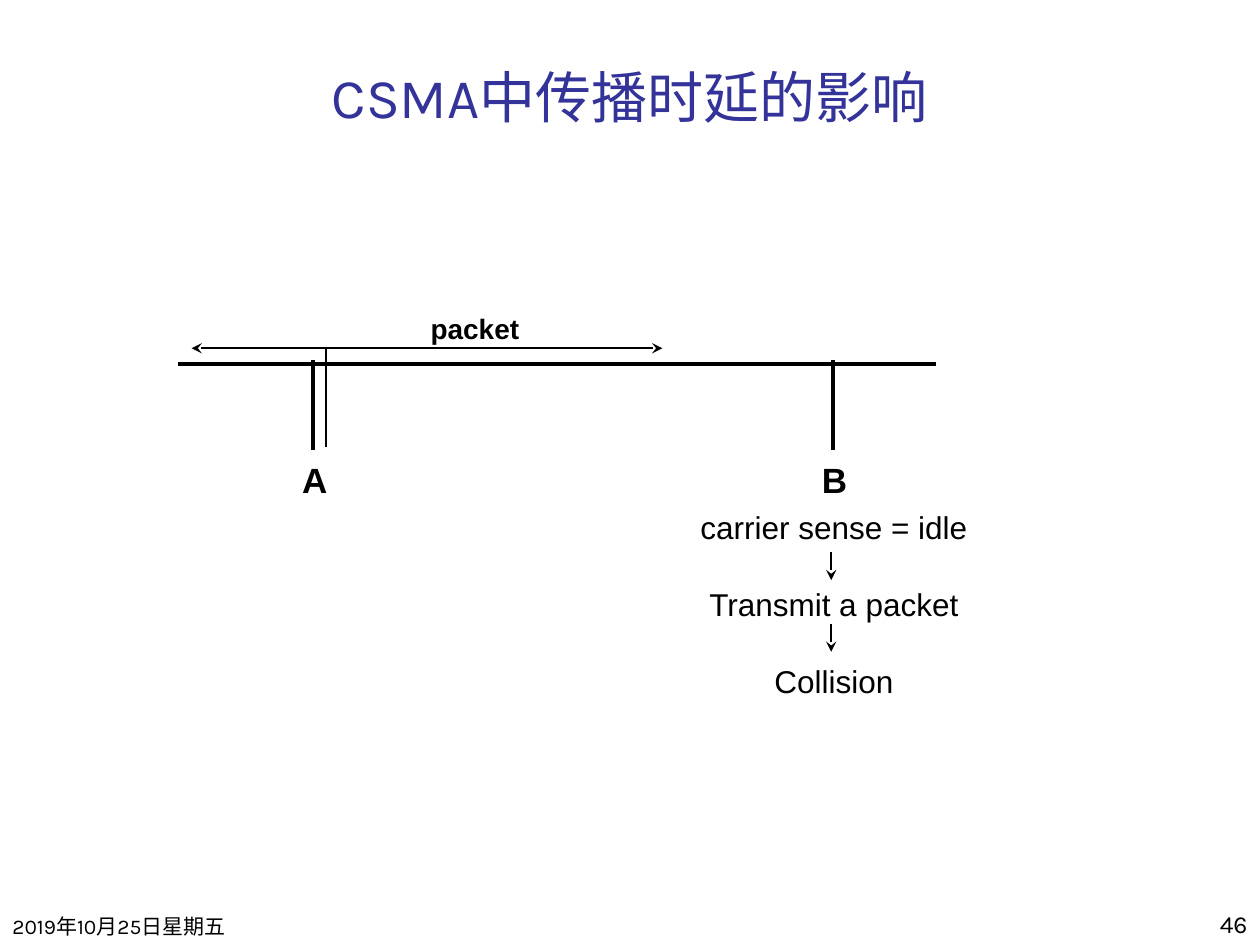
from lxml import etree
from pptx import Presentation
from pptx.dml.color import RGBColor
from pptx.enum.shapes import MSO_CONNECTOR
from pptx.enum.text import MSO_ANCHOR, MSO_AUTO_SIZE, PP_ALIGN
from pptx.oxml.ns import qn
from pptx.util import Pt

STRAIGHT = MSO_CONNECTOR.STRAIGHT
TOP, BOTTOM = MSO_ANCHOR.TOP, MSO_ANCHOR.BOTTOM
FIXED, GROW = MSO_AUTO_SIZE.NONE, MSO_AUTO_SIZE.SHAPE_TO_FIT_TEXT
LEFT, CENTER, RIGHT = PP_ALIGN.LEFT, PP_ALIGN.CENTER, PP_ALIGN.RIGHT

THEME = {
    "ink": RGBColor(0x00, 0x00, 0x00),
    "heading": RGBColor(0x33, 0x33, 0x99),
    "heading_font": "Karla",
    "label_font": "Arial",
    "title": 32,
    "station": 20,
    "step": 18,
    "packet": 16,
    "number": 14,
    "date": 12,
    "thick": 2,
    "thin": 1,
}

deck = Presentation()
deck.slide_width, deck.slide_height = Pt(720), Pt(540)
slide = deck.slides.add_slide(deck.slide_layouts[5])


def write(text, box, size, holder=None, font=THEME["label_font"], color=THEME["ink"],
          bold=False, align=LEFT, anchor=TOP, wrap=False, gap=0):
    left, top, width, height = map(Pt, box)
    if holder is None:
        holder = slide.shapes.add_textbox(left, top, width, height)
    else:
        holder.left, holder.top, holder.width, holder.height = left, top, width, height
    frame = holder.text_frame
    frame.text = text
    frame.word_wrap = wrap
    frame.auto_size = FIXED if wrap else GROW
    frame.vertical_anchor = anchor
    for index, paragraph in enumerate(frame.paragraphs):
        paragraph.alignment = align
        paragraph.space_before = Pt(gap if index else 0)
        for run in paragraph.runs:
            run.font.name = font
            run.font.size = Pt(size)
            run.font.bold = bold
            run.font.color.rgb = color


def draw_line(start, end, weight, head=False, tail=False):
    line = slide.shapes.add_connector(STRAIGHT, *map(Pt, start + end))
    line.line.color.rgb = THEME["ink"]
    line.line.width = Pt(weight)
    outline = line.line._get_or_add_ln()
    for wanted, tag in ((head, "a:headEnd"), (tail, "a:tailEnd")):
        if wanted:
            etree.SubElement(outline, qn(tag), type="stealth")
    etree.SubElement(line._element.spPr, qn("a:effectLst"))


write("CSMA中传播时延的影响", (0, 18, 720, 60), THEME["title"], holder=slide.shapes.title,
      font=THEME["heading_font"], color=THEME["heading"], align=CENTER, anchor=BOTTOM, wrap=True)
write("2019年10月25日星期五", (0, 504, 150, 36), THEME["date"],
      font=THEME["heading_font"], anchor=BOTTOM, wrap=True)
write("46", (570, 504, 150, 36), THEME["number"],
      font=THEME["heading_font"], align=RIGHT, anchor=BOTTOM, wrap=True)

draw_line((102, 208), (535, 208), THEME["thick"])
for station, x in (("A", 179), ("B", 476)):
    draw_line((x, 206), (x, 257), THEME["thick"])
    write(station, (x - 13.5, 258.5, 29, 31), THEME["station"], bold=True)

draw_line((186.5, 255.5), (186.5, 199), THEME["thin"])
draw_line((109.5, 199), (378.5, 199), THEME["thin"], head=True, tail=True)
write("packet", (239, 174.5, 65.5, 26.5), THEME["packet"], bold=True)

write("carrier sense = idle\nTransmit a packet\nCollision", (393, 286.5, 167, 115),
      THEME["step"], align=CENTER, gap=22.5)
for top in (315.5, 356.5):
    draw_line((475, top), (475, top + 16), THEME["thin"], tail=True)

deck.save("out.pptx")
